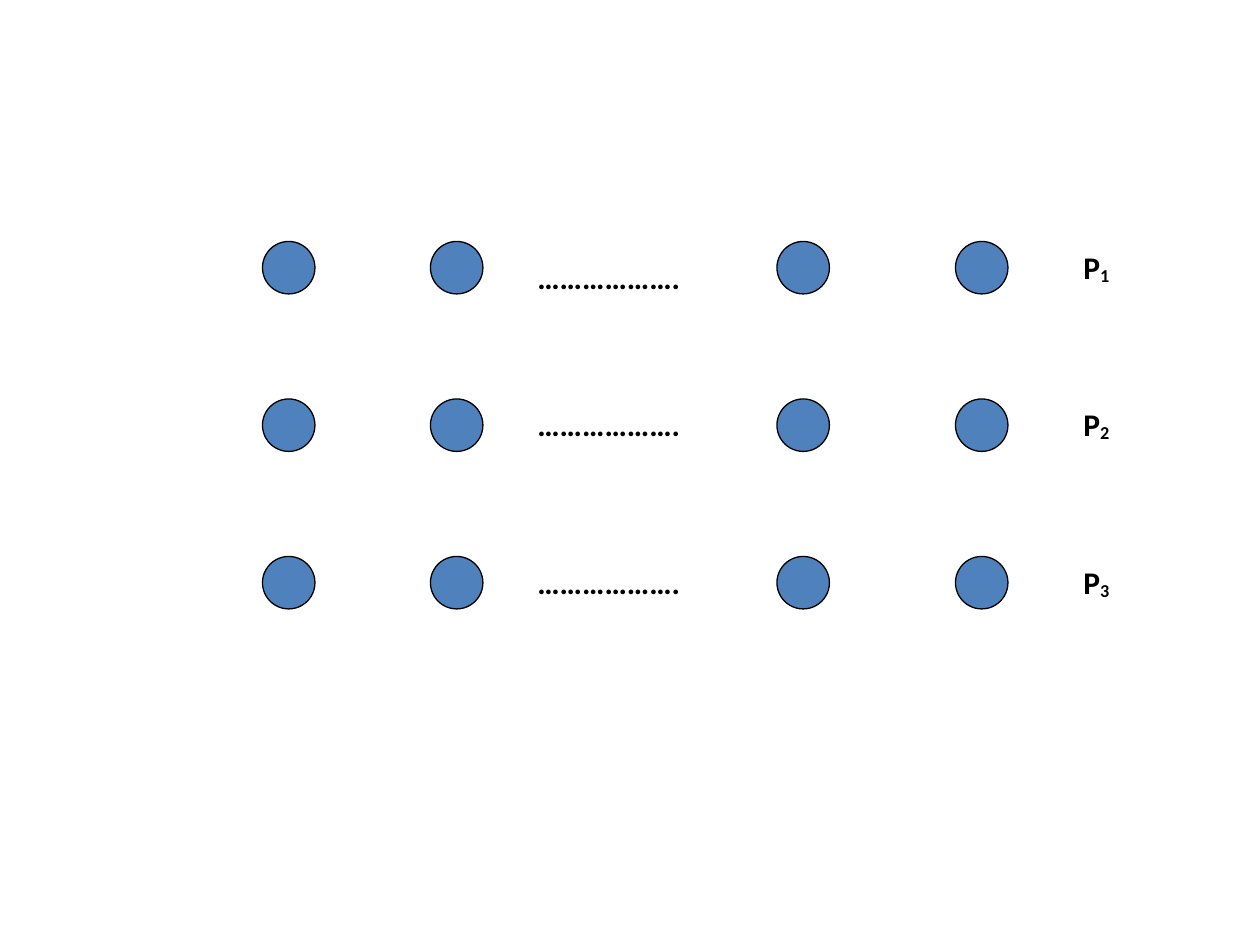
from dataclasses import dataclass

from pptx import Presentation
from pptx.dml.color import RGBColor
from pptx.enum.shapes import MSO_SHAPE
from pptx.enum.text import MSO_AUTO_SIZE
from pptx.util import Inches, Pt

OVAL = MSO_SHAPE.OVAL
FIT_SHAPE = MSO_AUTO_SIZE.SHAPE_TO_FIT_TEXT

# The slide is a grid of 24 columns by 18 rows of square cells.
SLIDE_WIDTH, SLIDE_HEIGHT = Inches(10), Inches(7.5)
CELL = SLIDE_WIDTH / 24

# Positions in cells, measured from the left edge of a row's box.
CIRCLE_OFFSETS = (0, 3.2, 9.8, 13.2)
DOTS_OFFSET, DOTS_WIDTH = 5, 4.4
LABEL_OFFSET, LABEL_WIDTH = 15.4, 1.6
TEXT_HEIGHT = 0.96

ROWS_LEFT, ROWS_TOP, ROW_PITCH = 5, 4.6, 3
DOTS_DROPS = (0.2, 0, 0)


@dataclass(frozen=True)
class Theme:
    font: str = "Calibri"
    text_size: Pt = Pt(18)
    subscript: int = -10000
    line_width: Pt = Pt(0.75)
    circle: RGBColor = RGBColor(0x4F, 0x81, 0xBD)
    ink: RGBColor = RGBColor(0, 0, 0)


THEME = Theme()


def cells(*lengths):
    return [round(length * CELL) for length in lengths]


def add_circle(group, left, top):
    circle = group.shapes.add_shape(OVAL, *cells(left, top, 1, 1))
    circle.shadow.inherit = False
    circle.fill.solid()
    circle.fill.fore_color.rgb = THEME.circle
    circle.line.color.rgb = THEME.ink
    circle.line.width = THEME.line_width


def add_text(group, left, top, width, text, subscript=""):
    box = group.shapes.add_textbox(*cells(left, top, width, TEXT_HEIGHT))
    frame = box.text_frame
    frame.word_wrap = True
    frame.auto_size = FIT_SHAPE
    paragraph = frame.paragraphs[0]
    for content, baseline in ((text, 0), (subscript, THEME.subscript)):
        if not content:
            continue
        run = paragraph.add_run()
        run.text = content
        run.font.name = THEME.font
        run.font.size = THEME.text_size
        run.font.bold = True
        run.font.color.rgb = THEME.ink
        if baseline:
            run.font._element.set("baseline", str(baseline))


def add_row(group, left, top, number, dots_drop):
    """Place four circles, the dots between them and the label P with its number."""
    for offset in CIRCLE_OFFSETS:
        add_circle(group, left + offset, top)
    add_text(group, left + DOTS_OFFSET, top + dots_drop, DOTS_WIDTH, "……………….")
    add_text(group, left + LABEL_OFFSET, top, LABEL_WIDTH, "P", str(number))


def main():
    presentation = Presentation()
    presentation.slide_width, presentation.slide_height = SLIDE_WIDTH, SLIDE_HEIGHT
    slide = presentation.slides.add_slide(presentation.slide_layouts[6])
    group = slide.shapes.add_group_shape()
    for index, dots_drop in enumerate(DOTS_DROPS):
        add_row(group, ROWS_LEFT, ROWS_TOP + index * ROW_PITCH, index + 1, dots_drop)
    presentation.save("out.pptx")


if __name__ == "__main__":
    main()
